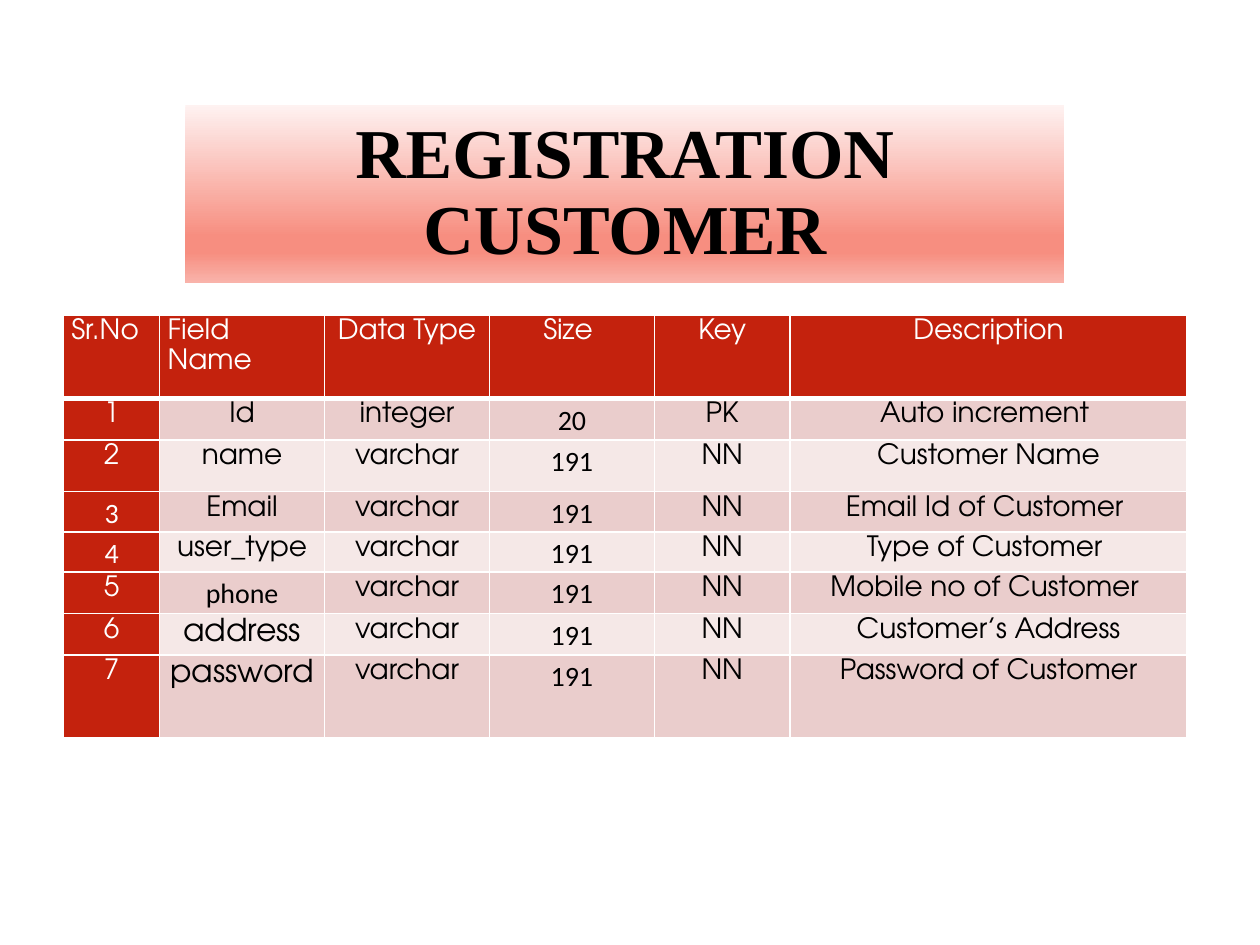
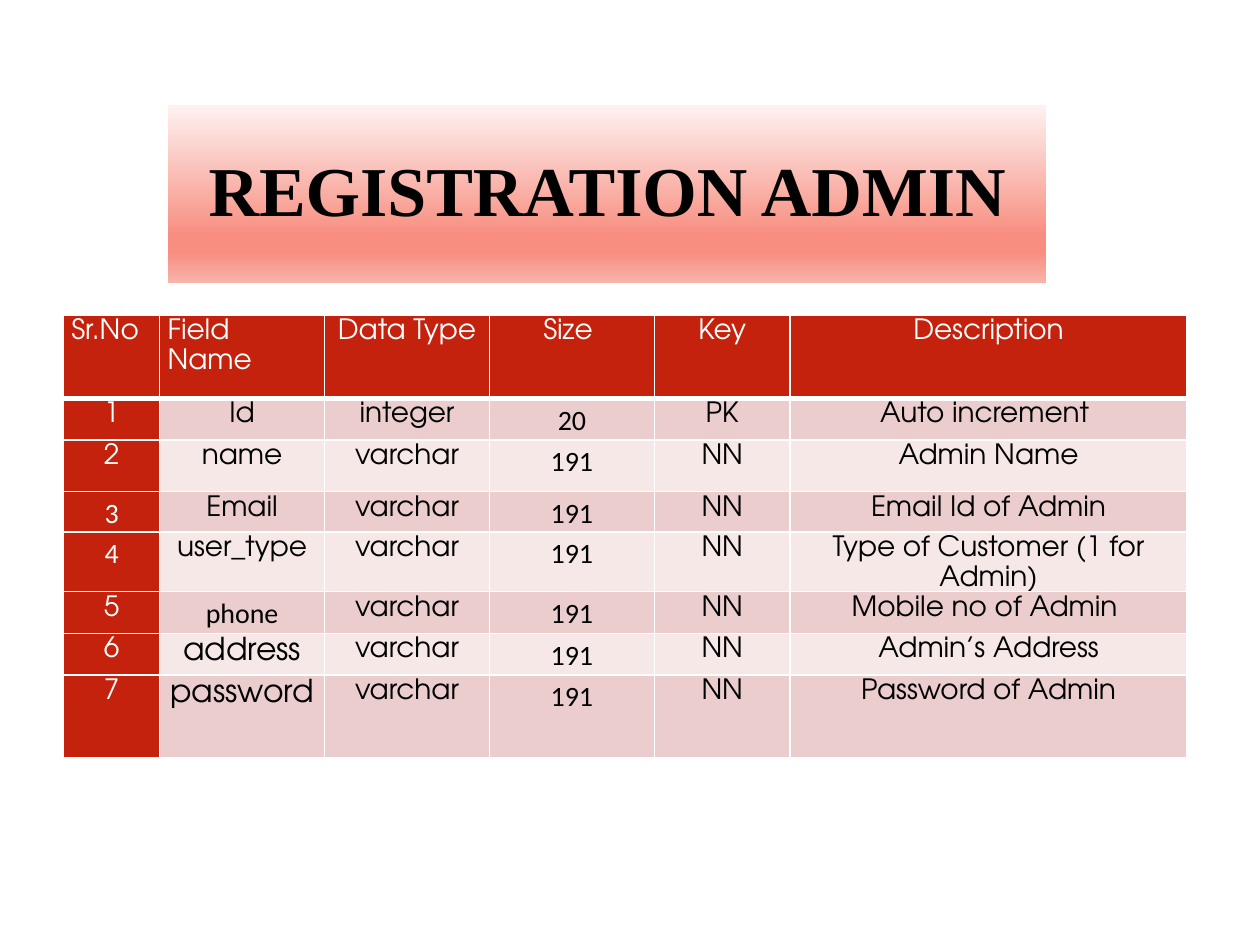
from dataclasses import dataclass

from lxml.etree import SubElement
from pptx import Presentation
from pptx.dml.color import RGBColor
from pptx.enum.text import MSO_ANCHOR, MSO_AUTO_SIZE, PP_ALIGN
from pptx.oxml import parse_xml
from pptx.oxml.ns import nsdecls, qn
from pptx.util import Pt


@dataclass(frozen=True)
class Theme:
    red: str = "C4220D"
    dark: str = "EACDCC"
    light: str = "F5E8E7"
    white: str = "FFFFFF"
    black: str = "000000"
    fade: tuple = ((0, "FEF2F1"), (74, "F78E80"), (83, "F78E80"), (100, "F9B3AA"))
    serif: str = "Times New Roman"
    main: str = "TeX Gyre Adventor"
    plain: str = "Calibri"
    head: int = 40
    body: int = 16
    large: int = 18


T = Theme()

# Table grid, in points
COLS = (55, 94.25, 94.25, 94.25, 77.5, 227)
ROWS = (47.5, 23.75, 29.5, 23, 23, 23.75, 23.75, 47.5)
TITLES = ("Sr.No", "Field Name", "Data Type", "Size ", "Key", "Description")
FIELDS = ("Id", "name", "Email", "user_type", "phone", "address", "password")

# Cells (row, column) that differ from the main text style
STYLES = {
    (3, 0): {"font": T.plain},
    (4, 0): {"font": T.plain},
    (5, 1): {"font": T.plain},
    (6, 1): {"size": T.large},
    (7, 1): {"size": T.large},
}

# Title, left edge of its band, descriptions
SLIDES = (
    ("REGISTRATION CUSTOMER", 106,
     ("Auto increment ", "Customer Name", "Email Id of Customer ",
      "Type of Customer ", "Mobile no of Customer ", "Customer’s Address",
      "Password of Customer")),
    ("REGISTRATION ADMIN", 96,
     ("Auto increment ", "Admin Name", "Email Id of Admin",
      "Type of Customer (1 for Admin)", "Mobile no of Admin ",
      "Admin’s Address", "Password of Admin")),
)


def write(frame, text, font=T.main, size=T.body, color=T.black, bold=False,
          align=PP_ALIGN.CENTER, space=1.15):
    para = frame.paragraphs[0]
    para.alignment = align
    para.line_spacing = space
    run = para.add_run()
    run.text = text
    run.font.name = font
    run.font.size = Pt(size)
    run.font.bold = bold
    run.font.color.rgb = RGBColor.from_string(color)


def edge(cell, base):
    """Draw white borders; base is the width of the bottom one."""
    props = cell._tc.get_or_add_tcPr()
    for side, width in (("L", 1), ("R", 1), ("T", 1), ("B", base)):
        line = SubElement(props, qn(f"a:ln{side}"), w=str(Pt(width)))
        fill = SubElement(line, qn("a:solidFill"))
        SubElement(fill, qn("a:srgbClr"), val=T.white)


def banner(slide, text, box):
    shape = slide.shapes.title
    shape.left, shape.top, shape.width, shape.height = map(Pt, box)
    # Vertical fade
    stops = "".join(
        f'<a:gs pos="{spot * 1000}"><a:srgbClr val="{color}"/></a:gs>'
        for spot, color in T.fade)
    shape._element.spPr.append(parse_xml(
        f'<a:gradFill {nsdecls("a")} rotWithShape="1"><a:gsLst>{stops}</a:gsLst>'
        '<a:lin ang="5400000" scaled="0"/></a:gradFill>'))
    frame = shape.text_frame
    frame.word_wrap = True
    frame.auto_size = MSO_AUTO_SIZE.NONE
    frame.vertical_anchor = MSO_ANCHOR.MIDDLE
    write(frame, text, font=T.serif, size=T.head, bold=True, space=0.9)


def grid(slide, notes, box):
    # Rows of values
    data = [TITLES]
    for num, (field, note) in enumerate(zip(FIELDS, notes), 1):
        first = num == 1
        data.append((str(num), field, "integer" if first else "varchar",
                     "20" if first else "191", "PK" if first else "NN", note))

    table = slide.shapes.add_table(len(ROWS), len(COLS), *map(Pt, box)).table
    for col, width in zip(table.columns, COLS):
        col.width = Pt(width)
    for row, height in zip(table.rows, ROWS):
        row.height = Pt(height)

    # Cells
    for y, row in enumerate(data):
        for x, text in enumerate(row):
            cell = table.cell(y, x)
            cell.margin_left = cell.margin_right = Pt(4.5)
            cell.margin_top = cell.margin_bottom = 0
            edge(cell, 1 if y else 3)
            strong = y == 0 or x == 0
            band = T.dark if y % 2 else T.light
            cell.fill.solid()
            cell.fill.fore_color.rgb = RGBColor.from_string(T.red if strong else band)
            style = {"color": T.white if strong else T.black}
            if y == 0 and x < 2:
                style["align"] = PP_ALIGN.LEFT
            if y and x == 3:
                style["font"] = T.plain
            write(cell.text_frame, text, **{**style, **STYLES.get((y, x), {})})


def main():
    deck = Presentation()
    deck.slide_width, deck.slide_height = Pt(720), Pt(540)
    for title, left, notes in SLIDES:
        slide = deck.slides.add_slide(deck.slide_layouts[5])
        banner(slide, title, (left, 60, 502, 101.5))
        grid(slide, notes, (36.25, 180.25, sum(COLS), sum(ROWS)))
    deck.save("out.pptx")


if __name__ == "__main__":
    main()
